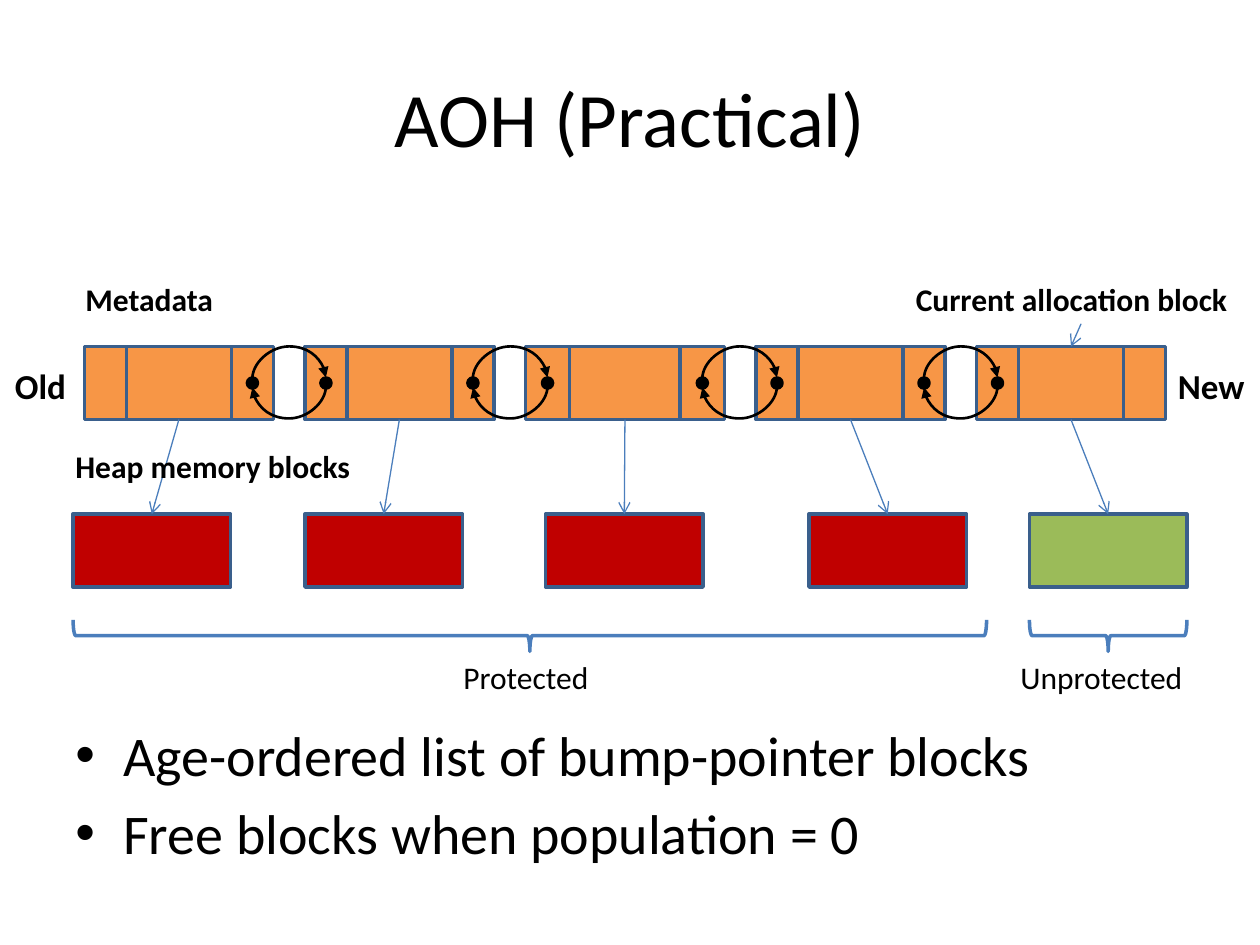
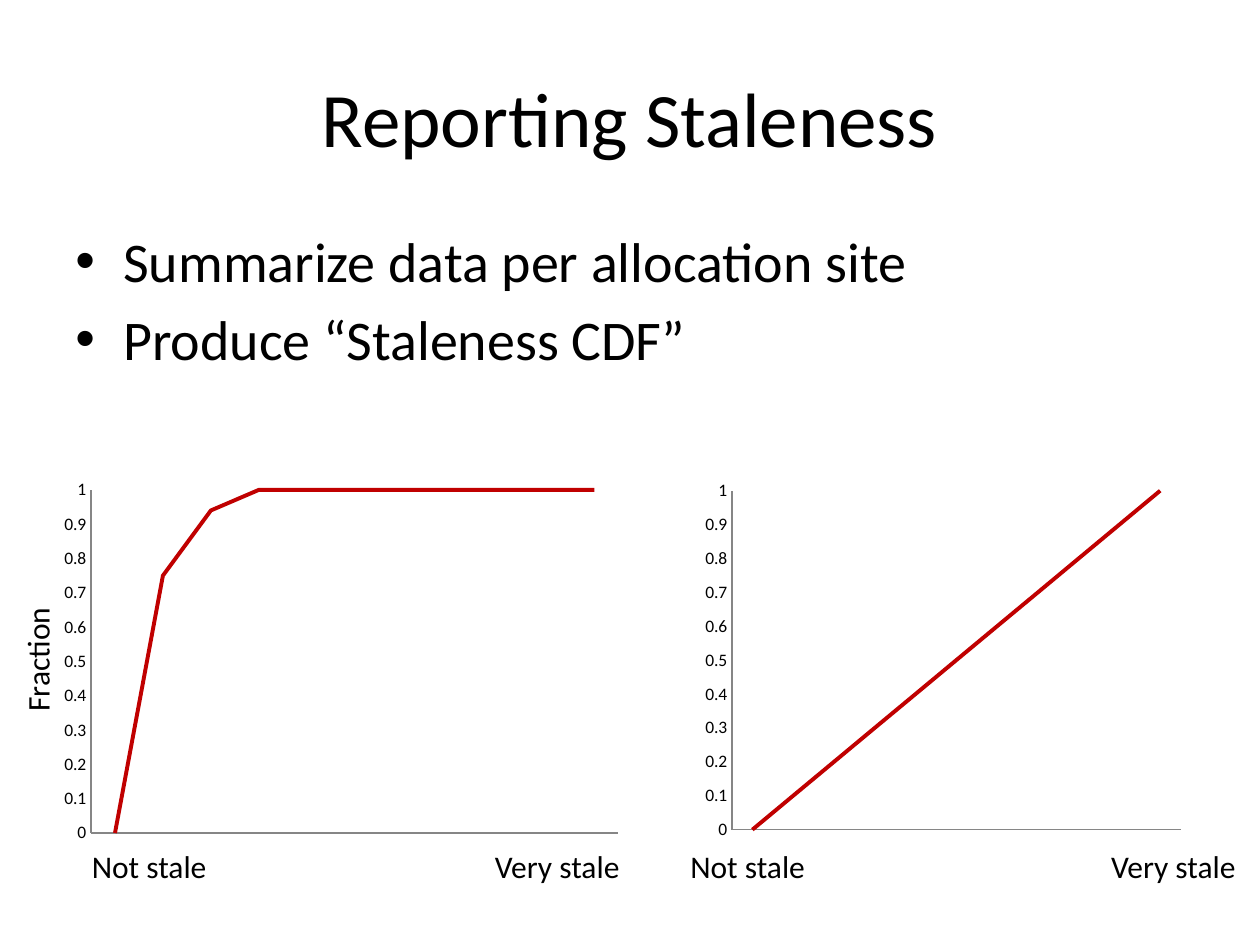
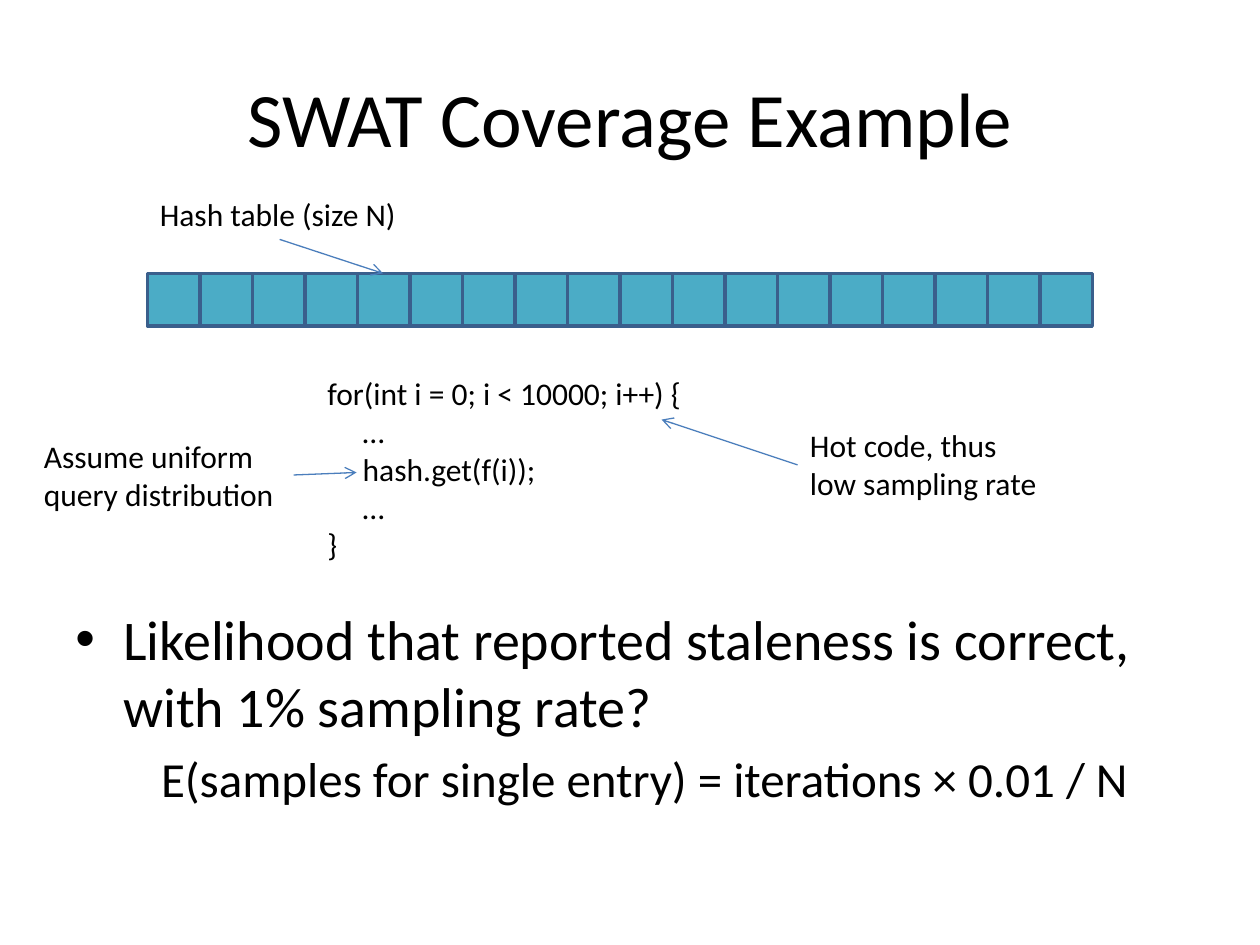
from lxml.etree import SubElement
from pptx import Presentation
from pptx.chart.data import CategoryChartData as ChartData
from pptx.dml.color import RGBColor as RGB
from pptx.enum.chart import XL_CHART_TYPE as Chart
from pptx.enum.chart import XL_TICK_LABEL_POSITION as Label
from pptx.enum.chart import XL_TICK_MARK as Tick
from pptx.enum.shapes import MSO_CONNECTOR as Conn
from pptx.enum.shapes import MSO_SHAPE as Shape
from pptx.enum.text import MSO_ANCHOR as Anchor
from pptx.enum.text import MSO_AUTO_SIZE as Fit
from pptx.enum.text import PP_ALIGN as Align
from pptx.oxml.ns import qn
from pptx.util import Inches, Pt

FONT = "Calibri"
BLACK = RGB(0, 0, 0)
WHITE = RGB(255, 255, 255)
GREY = RGB(0x86, 0x86, 0x86)
NAVY = RGB(0x3A, 0x5F, 0x8C)
BLUE = RGB(0x4B, 0x7E, 0xBC)
ORANGE = RGB(0xF7, 0x96, 0x46)
RED = RGB(0xC0, 0, 0)
GREEN = RGB(0x9B, 0xBB, 0x59)
TEAL = RGB(0x4B, 0xAC, 0xC6)
BULLET = "\u2022"


def write(para, text, size, bold=False):
    """Add one run in the deck's font."""
    run = para.add_run()
    run.text = text
    font = run.font
    font.name, font.size, font.bold = FONT, Pt(size), bold
    font.color.rgb = BLACK


def indent(para, left, first=0, mark=None):
    """Set a paragraph's indents and its bullet, if any."""
    props = para._p.get_or_add_pPr()
    props.set("marL", str(Inches(left)))
    props.set("indent", str(Inches(first)))
    if mark:
        SubElement(props, qn("a:buFont"), typeface="Arial")
        SubElement(props, qn("a:buChar"), char=mark)
    else:
        SubElement(props, qn("a:buNone"))


def add_slide(deck, title):
    """Add a slide with the shared title style."""
    slide = deck.slides.add_slide(deck.slide_layouts[5])
    head = slide.shapes.title
    head.left, head.top = Inches(0.5), Inches(0.3)
    head.width, head.height = Inches(9), Inches(1.25)
    head.text_frame.vertical_anchor = Anchor.MIDDLE
    para = head.text_frame.paragraphs[0]
    para.alignment = Align.CENTER
    write(para, title, 44)
    return slide


def add_body(slide, top, height, points, note=None):
    """Add the bulleted body and an optional plain second-level line."""
    box = slide.shapes.add_textbox(
        Inches(0.5), Inches(top), Inches(9), Inches(height))
    frame = box.text_frame
    frame.word_wrap = True
    para = frame.paragraphs[0]
    for i, point in enumerate(points):
        if i:
            para = frame.add_paragraph()
        para.space_before = Pt(6)
        indent(para, 0.38, -0.38, BULLET)
        write(para, point, 32)
    if note:
        para = frame.add_paragraph()
        para.level = 1
        para.space_before = Pt(5.6)
        indent(para, 0.68)
        write(para, note, 28)


def add_label(slide, x, y, w, lines, size=18, bold=False, wrap=False, h=0.4):
    """Add a label; each line is a text or a pair of text and indent."""
    box = slide.shapes.add_textbox(Inches(x), Inches(y), Inches(w), Inches(h))
    frame = box.text_frame
    frame.word_wrap = wrap
    frame.auto_size = Fit.SHAPE_TO_FIT_TEXT
    for i, line in enumerate(lines):
        para = frame.add_paragraph() if i else frame.paragraphs[0]
        text, left = line if isinstance(line, tuple) else (line, 0)
        if left:
            indent(para, left)
        write(para, text, size, bold)
    return box


def add_box(shapes, kind, x, y, w, h, fill, edge=NAVY):
    """Add a preset shape; no fill when fill is None."""
    box = shapes.add_shape(kind, Inches(x), Inches(y), Inches(w), Inches(h))
    box.shadow.inherit = False
    if fill is None:
        box.fill.background()
    else:
        box.fill.solid()
        box.fill.fore_color.rgb = fill
    box.line.color.rgb, box.line.width = edge, Pt(2)
    return box


def add_arrow(slide, start, end, kind=Conn.STRAIGHT, color=BLUE, width=0.75,
              tip="arrow"):
    """Add a connector with an arrowhead at its end."""
    spots = [Inches(v) for v in (*start, *end)]
    arrow = slide.shapes.add_connector(kind, *spots)
    arrow.line.color.rgb, arrow.line.width = color, Pt(width)
    props = arrow._element.spPr
    SubElement(props.find(qn("a:ln")), qn("a:tailEnd"), type=tip)
    SubElement(props, qn("a:effectLst"))
    return arrow


def add_arc(slide, left, right, y, turn):
    """Add a curved arrow: over the top at turn 270, back below at 90."""
    thin, bulge = 0.01, 0.26
    mid, half = (left + right) / 2, (right - left) / 2
    arc = add_arrow(slide, (mid - thin / 2, y - half),
                    (mid + thin / 2, y + half),
                    Conn.CURVE, BLACK, 1.5, "triangle")
    props = arc._element.spPr
    props.find(qn("a:xfrm")).set("rot", str(turn * 60000))
    geom = props.find(qn("a:prstGeom"))
    guides = geom.find(qn("a:avLst"))
    if guides is None:
        guides = SubElement(geom, qn("a:avLst"))
    ratio = round(bulge / thin * 100000)
    SubElement(guides, qn("a:gd"), name="adj1", fmla=f"val {ratio}")


def add_node(slide, x, y, w, h, prev, next):
    """Add a metadata block in 2:5:2 cells, with dots for its links."""
    shapes = slide.shapes.add_group_shape().shapes
    side, dot = w * 2 / 9, 0.08
    cells = ((x, side), (x + side, w - 2 * side), (x + w - side, side))
    for left, wide in cells:
        add_box(shapes, Shape.RECTANGLE, left, y, wide, h, ORANGE)
    for shown, mid in ((prev, x + side / 2), (next, x + w - side / 2)):
        if shown:
            add_box(shapes, Shape.OVAL, mid - dot / 2, y + h / 2 - dot / 2,
                    dot, dot, BLACK, BLACK)


def add_brace(slide, x, y, w):
    """Add a brace lying below a span that starts at x."""
    deep = 0.25
    brace = add_box(slide.shapes, Shape.RIGHT_BRACE, x + (w - deep) / 2,
                    y + (deep - w) / 2, deep, w, None, BLUE)
    brace.rotation = 90


def add_heap(slide, y):
    """Draw the linked metadata blocks and the heap blocks below them."""
    high, low = 0.58, y + 1.33
    nodes = ((0.67, 1.5), (2.42, 1.5), (4.17, 1.58), (6, 1.5), (7.75, 1.5))
    heaps = (0.58, 2.42, 4.33, 6.42, 8.17)
    last = len(nodes) - 1
    for i, (x, w) in enumerate(nodes):
        add_node(slide, x, y, w, high, i > 0, i < last)
    for (x, w), (after, wide) in zip(nodes, nodes[1:]):
        left, right = x + w * 8 / 9, after + wide / 9
        add_arc(slide, left, right, y + 0.25, 270)
        add_arc(slide, left, right, y + 0.32, 90)
    for i, ((x, w), left) in enumerate(zip(nodes, heaps)):
        add_box(slide.shapes, Shape.RECTANGLE, left, low, 1.25, high,
                GREEN if i == last else RED)
        add_arrow(slide, (x + w / 2, y + high), (left + 0.625, low))
    add_brace(slide, heaps[0], low + 0.84, 7.25)
    add_brace(slide, heaps[-1], low + 0.84, 1.25)


def add_chart(slide, x, y, w, h, vals, inner=None):
    """Add a staleness line chart; inner fixes the plot area."""
    data = ChartData()
    data.categories = [str(n) for n in range(1, 12)]
    data.add_series("Series 1", vals)
    chart = slide.shapes.add_chart(
        Chart.LINE, Inches(x), Inches(y), Inches(w), Inches(h), data).chart
    chart.has_legend = chart.has_title = False
    chart.font.name, chart.font.size = FONT, Pt(10)
    chart.font.color.rgb = BLACK
    for axis in (chart.category_axis, chart.value_axis):
        axis.major_tick_mark = axis.minor_tick_mark = Tick.NONE
        axis.format.line.color.rgb = GREY
    chart.category_axis.tick_label_position = Label.NONE
    scale = chart.value_axis
    scale.minimum_scale, scale.maximum_scale, scale.major_unit = 0, 1, 0.1
    grid = scale.major_gridlines.format.line
    grid.color.rgb, grid.width = WHITE, Pt(0.75)
    plot = chart.plots[0]
    plot.vary_by_categories = False
    plot.series[0].smooth = False
    plot.series[0].format.line.color.rgb = RED
    if inner:
        area = chart._chartSpace.chart.plotArea
        layout = area.find(qn("c:layout"))
        if layout is None:
            layout = SubElement(area, qn("c:layout"))
            area.insert(0, layout)
        manual = SubElement(layout, qn("c:manualLayout"))
        parts = [("layoutTarget", "inner"), ("xMode", "edge"),
                 ("yMode", "edge"), *zip("xywh", inner)]
        for name, val in parts:
            SubElement(manual, qn("c:" + name), val=str(val))


def add_table(slide, x, y, count):
    """Draw the hash table as a row of equal square cells."""
    side = 5 / 12
    for i in range(count):
        add_box(slide.shapes, Shape.RECTANGLE, x + i * side, y, side, side,
                TEAL)


def heap_slide(deck):
    """Build the slide on the age-ordered heap."""
    slide = add_slide(deck, "AOH (Practical)")
    add_heap(slide, 2.75)
    add_label(slide, 0.58, 2.17, 2.33, ["Metadata"], bold=True, wrap=True)
    add_label(slide, 7.17, 2.17, 2.83, ["Current allocation block"],
              bold=True, wrap=True)
    add_arrow(slide, (8.58, 2.57), (8.5, 2.75))
    add_label(slide, 0.5, 3.5, 4.5, ["Heap memory blocks"], bold=True,
              wrap=True)
    add_label(slide, 0.02, 2.84, 0.61, ["Old"], 20, True, h=0.44)
    add_label(slide, 9.25, 2.84, 0.74, ["New"], 20, True, h=0.44)
    add_label(slide, 3.58, 5.17, 1.2, ["Protected"])
    add_label(slide, 8, 5.17, 1.5, ["Unprotected"])
    add_body(slide, 5.67, 1.33, ["Age-ordered list of bump-pointer blocks",
                                 "Free blocks when population = 0"])


def chart_slide(deck):
    """Build the slide with the two staleness charts."""
    slide = add_slide(deck, "Reporting Staleness")
    add_body(slide, 1.75, 4.95, ["Summarize data per allocation site",
                                 "Produce \u201cStaleness CDF\u201d"])
    add_chart(slide, 5.38, 3.67, 4.17, 3, [n / 10 for n in range(11)],
              (0.103, 0.075, 0.854, 0.897))
    add_chart(slide, 0.42, 3.75, 4.58, 3, [0, 0.75, 0.94] + [1] * 8)
    for left, right in ((0.63, 3.83), (5.38, 8.72)):
        add_label(slide, left, 6.67, 1.12, ["Not stale"])
        add_label(slide, right, 6.67, 1.2, ["Very stale"])
    side = add_label(slide, -0.62, 4.63, 1.83, ["Fraction"], wrap=True)
    side.rotation = 270


def table_slide(deck):
    """Build the slide on sampling a hash table."""
    slide = add_slide(deck, "SWAT Coverage Example")
    add_body(slide, 4.75, 1.95,
             ["Likelihood that reported staleness is correct, "
              "with 1% sampling rate?"],
             "E(samples for single entry) = iterations \u00d7 0.01 / N")
    add_table(slide, 1.17, 2.17, 18)
    add_label(slide, 2.5, 2.92, 3.05, [
        "for(int i = 0; i < 10000; i++) {", ("\u2026", 0.28),
        ("hash.get(f(i));", 0.28), ("\u2026", 0.28), "}"], h=1.62)
    add_label(slide, 1.17, 1.5, 2.1, ["Hash table (size N)"])
    add_arrow(slide, (2.22, 1.9), (3.04, 2.17))
    add_label(slide, 0.25, 3.42, 2.08,
              ["Assume uniform", "query distribution"], wrap=True, h=0.71)
    add_arrow(slide, (2.33, 3.77), (2.83, 3.75))
    add_label(slide, 6.33, 3.33, 2.08, ["Hot code, thus low sampling rate"],
              wrap=True, h=0.71)
    add_arrow(slide, (6.33, 3.69), (5.25, 3.33))


deck = Presentation()
deck.slide_width, deck.slide_height = Inches(10), Inches(7.5)
heap_slide(deck)
chart_slide(deck)
table_slide(deck)
deck.save("out.pptx")
